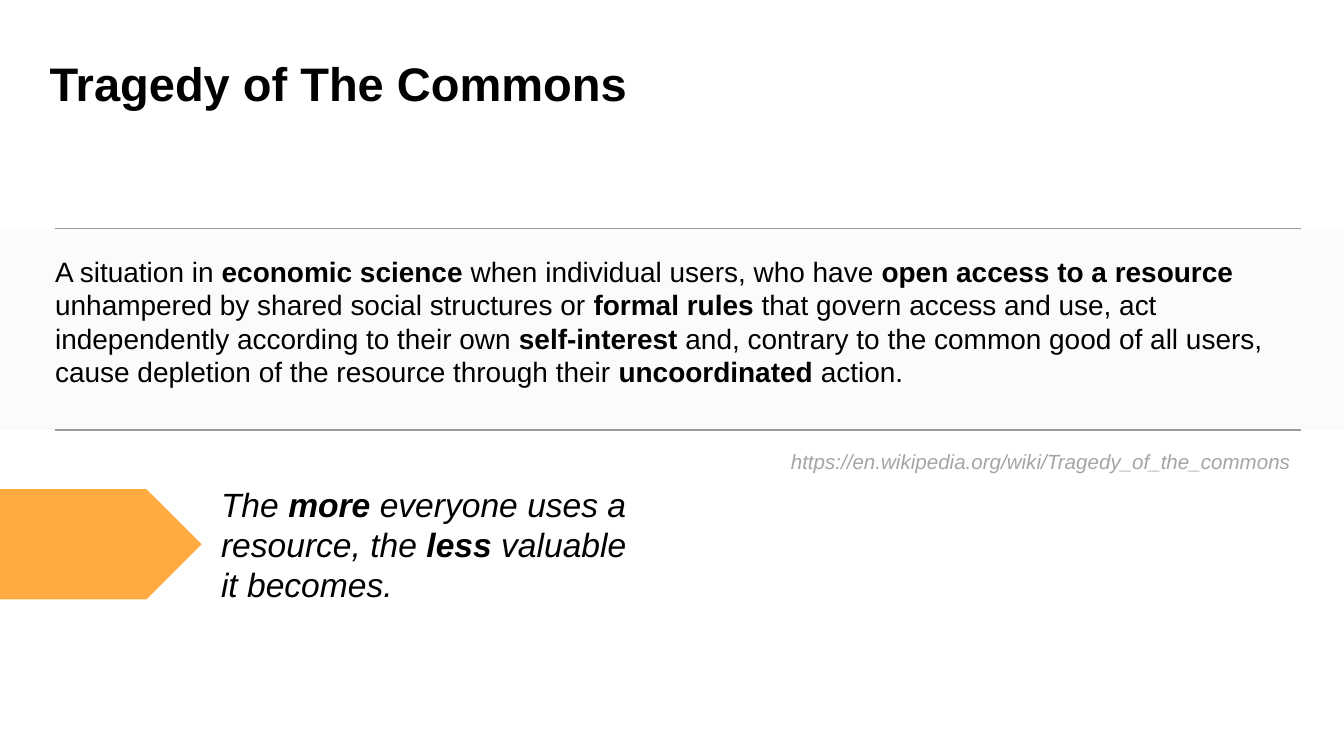
from dataclasses import dataclass

from lxml import etree
from pptx import Presentation
from pptx.dml.color import RGBColor
from pptx.enum import shapes, text
from pptx.oxml import ns
from pptx.util import Pt


@dataclass(frozen=True)
class Theme:
    font: str = "Arial"
    ink: str = "000000"
    muted: str = "A5A5A5"
    rule: str = "9A9D9E"
    band: str = "EEEEEE"
    accent: str = "FFAB40"
    title_size: float = 25.2
    quote_size: float = 18
    body_size: float = 15
    source_size: float = 11


THEME = Theme()
PAGE_WIDTH, PAGE_HEIGHT = 720, 405
BAND_TOP, BAND_HEIGHT = 122.4, 108
RULE_LEFT, RULE_RIGHT = 29.5, 697

DEFINITION = (
    "A situation in **economic science **when individual users, who have "
    "**open access to a resource **unhampered by shared social structures or "
    "**formal rules **that govern access and use, act independently according "
    "to their own **self-interest** and, contrary to the common good of all users, "
    "cause depletion of the resource through their **uncoordinated** action."
)
QUOTE = "The **more** everyone uses a resource, the **less** valuable it becomes."
SOURCE = "https://en.wikipedia.org/wiki/Tragedy_of_the_commons"


def place(box, left, top, width, height):
    box.left, box.top, box.width, box.height = map(Pt, (left, top, width, height))


def write(box, words, size, color=THEME.ink, italic=False, inset=(0, 0)):
    """Fill a box with one paragraph; words between ** marks are bold."""
    frame = box.text_frame
    frame.word_wrap = True
    frame.auto_size = text.MSO_AUTO_SIZE.NONE
    frame.margin_left = frame.margin_right = Pt(inset[0])
    frame.margin_top = frame.margin_bottom = Pt(inset[1])
    para = frame.paragraphs[0]
    para.alignment = text.PP_ALIGN.LEFT
    para.space_before = Pt(0)
    for index, part in enumerate(words.split("**")):
        span = para.add_run()
        span.text = part
        span.font.name = THEME.font
        span.font.size = Pt(size)
        span.font.bold = index % 2 == 1
        span.font.italic = italic
        span.font.color.rgb = RGBColor.from_string(color)
    return para


def add_title(page, words):
    title = page.shapes.title
    place(title, 26.6, 33.1, 567.4, 25.9)
    title.text_frame.vertical_anchor = text.MSO_ANCHOR.MIDDLE
    write(title, f"**{words}**", THEME.title_size).line_spacing = 0.9


def add_definition(page, words):
    body = page.placeholders[1]
    place(body, RULE_LEFT, 136.1, 668, 79.2)
    body.text_frame.vertical_anchor = text.MSO_ANCHOR.TOP
    para = write(body, words, THEME.body_size)
    para.space_after = Pt(12)
    # Plain paragraph: no bullet, no hanging indent
    props = para._p.get_or_add_pPr()
    props.set("marL", "0")
    props.set("indent", "0")
    etree.SubElement(props, ns.qn("a:buNone"))
    # Bring the text in front of the band
    body.element.getparent().append(body.element)


def add_note(page, words, bounds, size, color=THEME.ink):
    box = page.shapes.add_textbox(*map(Pt, bounds))
    write(box, words, size, color, italic=True, inset=(5.4, 2.7))


def add_block(page, kind, bounds, color, opacity=None):
    block = page.shapes.add_shape(kind, *map(Pt, bounds))
    block.shadow.inherit = False
    block.fill.solid()
    block.fill.fore_color.rgb = RGBColor.from_string(color)
    block.line.fill.background()
    if opacity is not None:
        tint = block.element.spPr.find(".//" + ns.qn("a:srgbClr"))
        etree.SubElement(tint, ns.qn("a:alpha"), val=str(opacity * 1000))


def add_rule(page, top):
    rule = page.shapes.add_connector(
        shapes.MSO_CONNECTOR.STRAIGHT, Pt(RULE_LEFT), Pt(top), Pt(RULE_RIGHT), Pt(top))
    rule.line.color.rgb = RGBColor.from_string(THEME.rule)
    rule.line.width = Pt(0.75)
    etree.SubElement(rule.element.spPr, ns.qn("a:effectLst"))


def main():
    deck = Presentation()
    deck.slide_width, deck.slide_height = Pt(PAGE_WIDTH), Pt(PAGE_HEIGHT)
    page = deck.slides.add_slide(deck.slide_layouts[1])

    # Heading
    add_title(page, "Tragedy of The Commons")

    # Source and takeaway
    add_note(page, SOURCE, (418.3, 237.6, 285.1, 18.7), THEME.source_size, THEME.muted)
    add_note(page, QUOTE, (113, 256.3, 236.2, 70.6), THEME.quote_size)

    # Definition band between two rules
    add_block(page, shapes.MSO_SHAPE.RECTANGLE,
              (0, BAND_TOP, PAGE_WIDTH, BAND_HEIGHT), THEME.band, opacity=20)
    for top in (BAND_TOP, BAND_TOP + BAND_HEIGHT):
        add_rule(page, top)
    add_definition(page, DEFINITION)

    # Arrow pointing at the takeaway
    add_block(page, shapes.MSO_SHAPE.PENTAGON, (0, 262.1, 108, 59), THEME.accent)

    deck.save("out.pptx")


if __name__ == "__main__":
    main()
